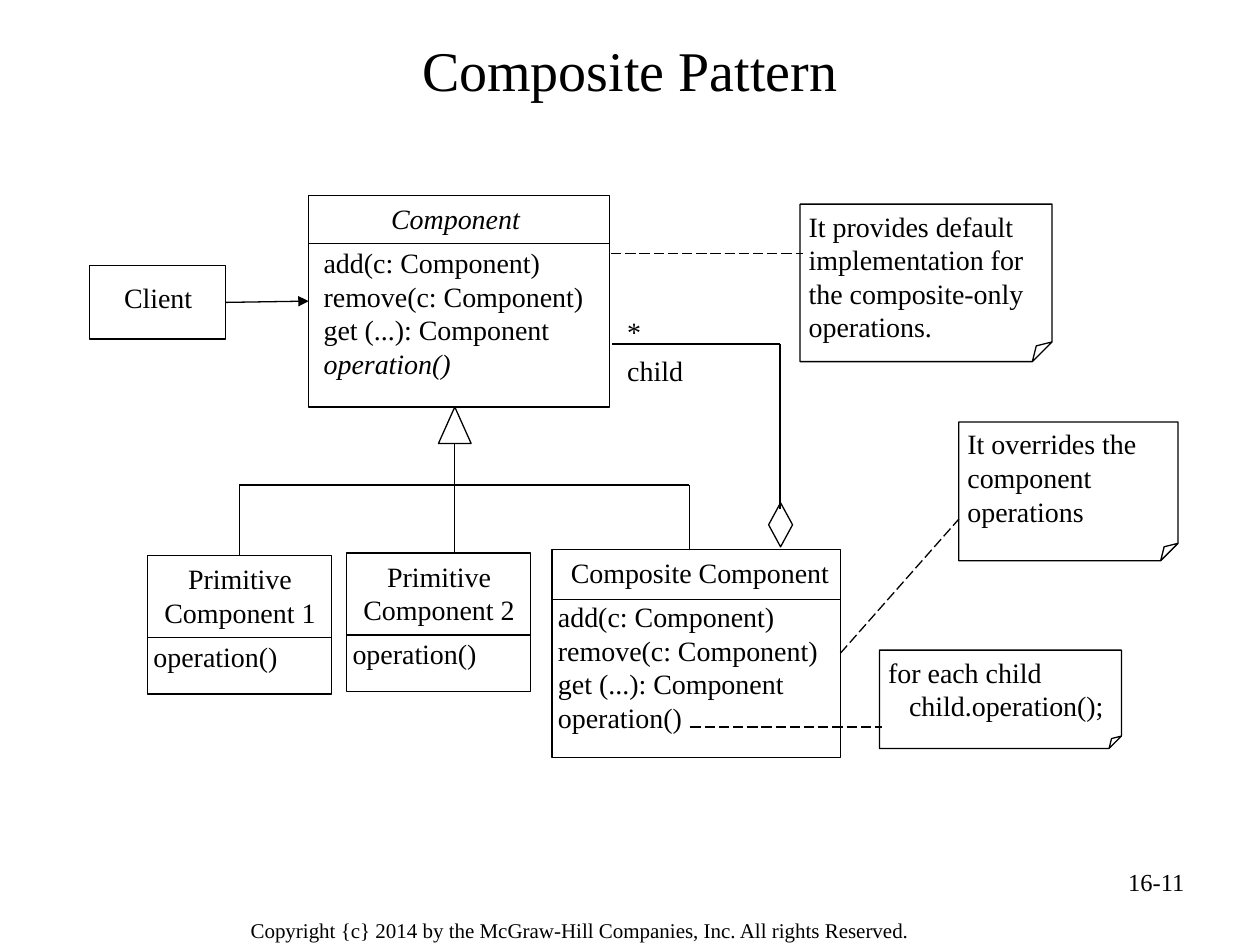
from dataclasses import dataclass

from lxml import etree
from pptx import Presentation
from pptx.dml.color import RGBColor
from pptx.enum import dml, shapes, text
from pptx.oxml import ns
from pptx.util import Inches, Pt

KIND = shapes.MSO_SHAPE
LEFT, MID, RIGHT = text.PP_ALIGN.LEFT, text.PP_ALIGN.CENTER, text.PP_ALIGN.RIGHT


@dataclass
class Theme:
    face: str = "Times New Roman"
    ink: RGBColor = RGBColor(0, 0, 0)
    paper: RGBColor = RGBColor(255, 255, 255)
    head: int = 32
    body: int = 16
    page: int = 14
    foot: int = 12
    line: float = 0.75


class Sketch:
    def __init__(self, slide, theme):
        self.slide = slide
        self.theme = theme

    def style(self, para, size, align=LEFT, italic=False):
        para.alignment = align
        font = para.font
        font.name = self.theme.face
        font.size = Pt(size)
        font.italic = italic
        font.color.rgb = self.theme.ink

    def title(self, words, x, y, w, h):
        box = self.slide.shapes.title
        box.left, box.top, box.width, box.height = map(Inches, (x, y, w, h))
        box.text_frame.vertical_anchor = text.MSO_ANCHOR.MIDDLE
        box.text_frame.text = words
        self.style(box.text_frame.paragraphs[0], self.theme.head, MID)

    def label(self, lines, x, y, w, h, size=None, align=LEFT):
        """Add a text box with one paragraph per line and return its paragraphs."""
        box = self.slide.shapes.add_textbox(*map(Inches, (x, y, w, h)))
        frame = box.text_frame
        frame.word_wrap = True
        frame.text = "\n".join(lines)
        for para in frame.paragraphs:
            self.style(para, size or self.theme.body, align)
        return frame.paragraphs

    def shape(self, kind, x, y, w, h, solid=False):
        item = self.slide.shapes.add_shape(kind, *map(Inches, (x, y, w, h)))
        item.shadow.inherit = False
        if solid:
            item.fill.solid()
            item.fill.fore_color.rgb = self.theme.paper
        else:
            item.fill.background()
        item.line.color.rgb = self.theme.ink
        item.line.width = Pt(self.theme.line)
        return item

    def line(self, start, end, dash=False, arrow=False):
        """Join two ends, each a point (x, y) or a pair (shape, side)."""
        item = self.slide.shapes.add_connector(
            shapes.MSO_CONNECTOR.STRAIGHT, 0, 0, 0, 0)
        if isinstance(start[0], (int, float)):
            item.begin_x, item.begin_y = map(Inches, start)
        else:
            item.begin_connect(*start)
        if isinstance(end[0], (int, float)):
            item.end_x, item.end_y = map(Inches, end)
        else:
            item.end_connect(*end)
        item.line.color.rgb = self.theme.ink
        item.line.width = Pt(self.theme.line)
        if dash:
            item.line.dash_style = dml.MSO_LINE.LONG_DASH
        props = item._element.spPr
        if arrow:
            tail = etree.SubElement(props.find(ns.qn("a:ln")), ns.qn("a:tailEnd"))
            tail.set("type", "triangle")
        etree.SubElement(props, ns.qn("a:effectLst"))

    def uml(self, name, calls, frame, bar, inset, wide, abstract=False):
        """Add a class box; bar is the divider's depth below its top."""
        x, y, w, h = frame
        paras = self.label([name, *calls], x + inset, y, wide, h)
        paras[0].alignment = MID
        paras[1].space_before = Pt(6)
        if abstract:
            paras[0].font.italic = paras[-1].font.italic = True
        box = self.shape(KIND.RECTANGLE, *frame)
        self.line((x, y + bar), (x + w, y + bar))
        return box

    def note(self, lines, x, y, w, h):
        paras = self.label(lines, x - 0.03, y - 0.01, w + 0.06, h)
        page = self.shape(KIND.FOLDED_CORNER, x, y, w, h)
        fold = next(page._element.spPr.iter(ns.qn("a:avLst")))
        etree.SubElement(fold, ns.qn("a:gd"), name="adj", fmla="val 12500")
        return paras


def main():
    deck = Presentation()
    deck.slide_width, deck.slide_height = Inches(10), Inches(7.5)
    theme = Theme()
    art = Sketch(deck.slides.add_slide(deck.slide_layouts[5]), theme)

    art.title("Composite Pattern", 0.5, 0.17, 9, 0.75)
    art.label(["Copyright {c} 2014 by the McGraw-Hill Companies, Inc. "
               "All rights Reserved."], 1.89, 7.23, 6.19, 0.31, theme.foot)
    art.label(["16-11"], 7.17, 6.83, 2.33, 0.52, theme.page, RIGHT)

    # Classes
    calls = ["add(c: Component)", "remove(c: Component)",
             "get (...): Component", "operation()"]
    base = art.uml("Component", calls, (2.45, 1.55, 2.39, 1.68),
                   0.38, 0.02, 2.29, abstract=True)
    first, second = [
        art.uml(f"Primitive Component {n}", calls[-1:], (x, y, 1.46, 1.1),
                0.65, -0.05, 1.57)
        for n, x, y in ((1, 1.17, 4.41), (2, 2.75, 4.39))]
    group = art.uml("Composite Component", calls, (4.38, 4.36, 2.29, 1.65),
                    0.4, -0.05, 2.45)
    client = art.shape(KIND.RECTANGLE, 0.71, 2.11, 1.08, 0.58)
    art.label(["Client"], 0.71, 2.18, 1.09, 0.52, align=MID)
    art.line((client, 3), (base, 1), arrow=True)

    # Inheritance tree
    rail, stem = 3.85, 3.61
    art.shape(KIND.ISOSCELES_TRIANGLE, 3.48, 3.23, 0.26, 0.29, solid=True)
    art.line((stem, 3.52), (stem, rail))
    art.line((1.9, rail), (5.47, rail))
    art.line((1.9, rail), (first, 0))
    art.line((stem, rail), (stem, 4.39))
    art.line((5.47, rail), (5.47, 4.36))

    # Aggregation of children
    art.shape(KIND.DIAMOND, 6.1, 3.99, 0.19, 0.35, solid=True)
    art.line((6.19, 4.04), (6.19, 2.73))
    art.line((6.19, 2.73), (4.86, 2.73))
    art.label(["*", "child"], 4.88, 2.45, 1.2, 1.18)[1].space_before = Pt(3)

    # Notes
    art.note(["It provides default implementation for the composite-only "
              "operations."], 6.35, 1.62, 2, 1.25)
    art.line((4.85, 2.01), (6.37, 2.01), dash=True)
    art.note(["It overrides the component operations"], 7.61, 3.35, 1.74, 1.1)
    art.line((group, 3), (7.61, 4.12), dash=True)
    code = art.note(["for each child", "child.operation();"],
                    6.98, 5.16, 1.92, 0.78)
    code[1]._p.get_or_add_pPr().set("marL", str(Pt(12)))
    art.line((5.48, 5.77), (7, 5.77), dash=True)

    deck.save("out.pptx")


if __name__ == "__main__":
    main()
